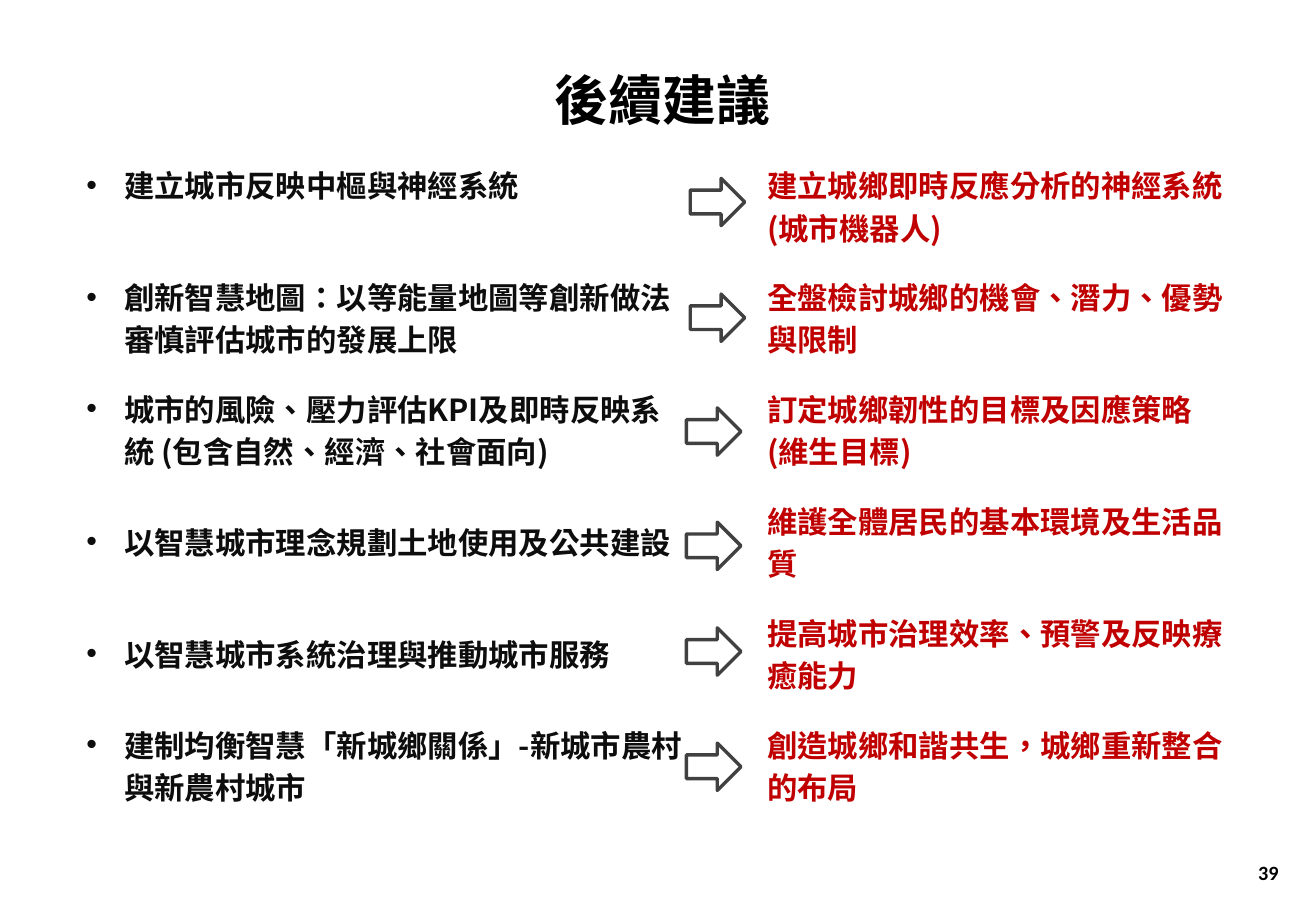
from dataclasses import dataclass

from lxml import etree
from pptx import Presentation
from pptx.dml.color import RGBColor
from pptx.enum.lang import MSO_LANGUAGE_ID
from pptx.enum.shapes import MSO_SHAPE
from pptx.enum.text import MSO_ANCHOR, PP_ALIGN
from pptx.oxml.ns import qn
from pptx.util import Cm, Pt

RIGHT_ARROW = MSO_SHAPE.RIGHT_ARROW
MIDDLE, TOP = MSO_ANCHOR.MIDDLE, MSO_ANCHOR.TOP
CENTER, RIGHT = PP_ALIGN.CENTER, PP_ALIGN.RIGHT
TAIWAN = MSO_LANGUAGE_ID.TRADITIONAL_CHINESE

TITLE = "後續建議"
PAGE_NUMBER = "39"
# measure, goal, (arrow left, arrow top) in cm
PROPOSALS = [
    ("建立城市反映中樞與神經系統",
     "建立城鄉即時反應分析的神經系統(城市機器人)", (14.43, 3.73)),
    ("創新智慧地圖：以等能量地圖等創新做法審慎評估城市的發展上限",
     "全盤檢討城鄉的機會、潛力、優勢與限制", (14.43, 6.15)),
    ("城市的風險、壓力評估KPI及即時反映系統 (包含自然、經濟、社會面向)",
     "訂定城鄉韌性的目標及因應策略 (維生目標)", (14.35, 8.53)),
    ("以智慧城市理念規劃土地使用及公共建設",
     "維護全體居民的基本環境及生活品質", (14.35, 10.92)),
    ("以智慧城市系統治理與推動城市服務",
     "提高城市治理效率、預警及反映療癒能力", (14.35, 13.13)),
    ("建制均衡智慧「新城鄉關係」-新城市農村與新農村城市",
     "創造城鄉和諧共生，城鄉重新整合的布局", (14.35, 15.54)),
]

COLUMN_WIDTHS = (12.98, 1.25, 10.36)
TITLE_HEIGHT, ROW_HEIGHT = 2.24, 2.34
BULLET_INDENT = Cm(0.79)


@dataclass(frozen=True)
class Theme:
    font: str = "Noto Sans CJK SC"
    number_font: str = "Calibri"
    black: RGBColor = RGBColor(0, 0, 0)
    measure: RGBColor = RGBColor(0x0D, 0x0D, 0x0D)
    goal: RGBColor = RGBColor(0xC0, 0, 0)
    arrow: RGBColor = RGBColor(0x41, 0x41, 0x41)
    title_size: Pt = Pt(32)
    body_size: Pt = Pt(18)
    number_size: Pt = Pt(12)
    line_spacing: Pt = Pt(25)
    arrow_width: Pt = Pt(2)


THEME = Theme()


def write(frame, text, size, color, font=THEME.font):
    frame.text = text
    paragraph = frame.paragraphs[0]
    run = paragraph.runs[0]
    run.font.size, run.font.bold, run.font.name = size, True, font
    run.font.color.rgb = color
    run.font.language_id = TAIWAN
    east_asian = etree.SubElement(run.font._element, qn("a:ea"))
    east_asian.set("typeface", font)
    return paragraph


def add_bullet(paragraph):
    properties = paragraph._p.get_or_add_pPr()
    properties.set("marL", str(BULLET_INDENT))
    properties.set("indent", str(-BULLET_INDENT))
    etree.SubElement(properties, qn("a:buFont")).set("typeface", "Arial")
    etree.SubElement(properties, qn("a:buChar")).set("char", "•")


def add_proposal_table(slide):
    height = TITLE_HEIGHT + ROW_HEIGHT * len(PROPOSALS)
    table = slide.shapes.add_table(
        len(PROPOSALS) + 1, len(COLUMN_WIDTHS), Cm(1.55), Cm(0.91),
        Cm(sum(COLUMN_WIDTHS)), Cm(height)).table
    table.first_row = table.horz_banding = False
    for column, width in zip(table.columns, COLUMN_WIDTHS):
        column.width = Cm(width)
    for index, row in enumerate(table.rows):
        row.height = Cm(ROW_HEIGHT if index else TITLE_HEIGHT)
    for cell in table.iter_cells():
        cell.fill.background()
        cell.vertical_anchor = MIDDLE

    heading = table.cell(0, 0)
    heading.merge(table.cell(0, len(COLUMN_WIDTHS) - 1))
    write(heading.text_frame, TITLE, THEME.title_size, THEME.black).alignment = CENTER

    for index, (measure, goal, _) in enumerate(PROPOSALS, start=1):
        for column, text, color in ((0, measure, THEME.measure), (2, goal, THEME.goal)):
            paragraph = write(table.cell(index, column).text_frame, text,
                              THEME.body_size, color)
            paragraph.line_spacing = THEME.line_spacing
            if column == 0:
                add_bullet(paragraph)

    # The first measure lines up with the first line of its goal.
    first_measure = table.cell(1, 0)
    first_measure.vertical_anchor = TOP
    first_measure.margin_top = Cm(0.29)


def add_arrow(slide, left, top):
    arrow = slide.shapes.add_shape(RIGHT_ARROW, Cm(left), Cm(top), Cm(1.14), Cm(0.99))
    arrow.shadow.inherit = False
    arrow.fill.background()
    arrow.line.color.rgb = THEME.arrow
    arrow.line.width = THEME.arrow_width


def add_page_number(slide):
    frame = slide.shapes.add_textbox(Cm(20.55), Cm(17.73), Cm(6.43), Cm(1.02)).text_frame
    frame.word_wrap = True
    frame.vertical_anchor = MIDDLE
    write(frame, PAGE_NUMBER, THEME.number_size, THEME.black,
          THEME.number_font).alignment = RIGHT


def main():
    deck = Presentation()
    deck.slide_width, deck.slide_height = Cm(27.51), Cm(19.05)
    slide = deck.slides.add_slide(deck.slide_layouts.get_by_name("Blank"))
    add_page_number(slide)
    add_proposal_table(slide)
    for _, _, (left, top) in PROPOSALS:
        add_arrow(slide, left, top)
    deck.save("out.pptx")


if __name__ == "__main__":
    main()
